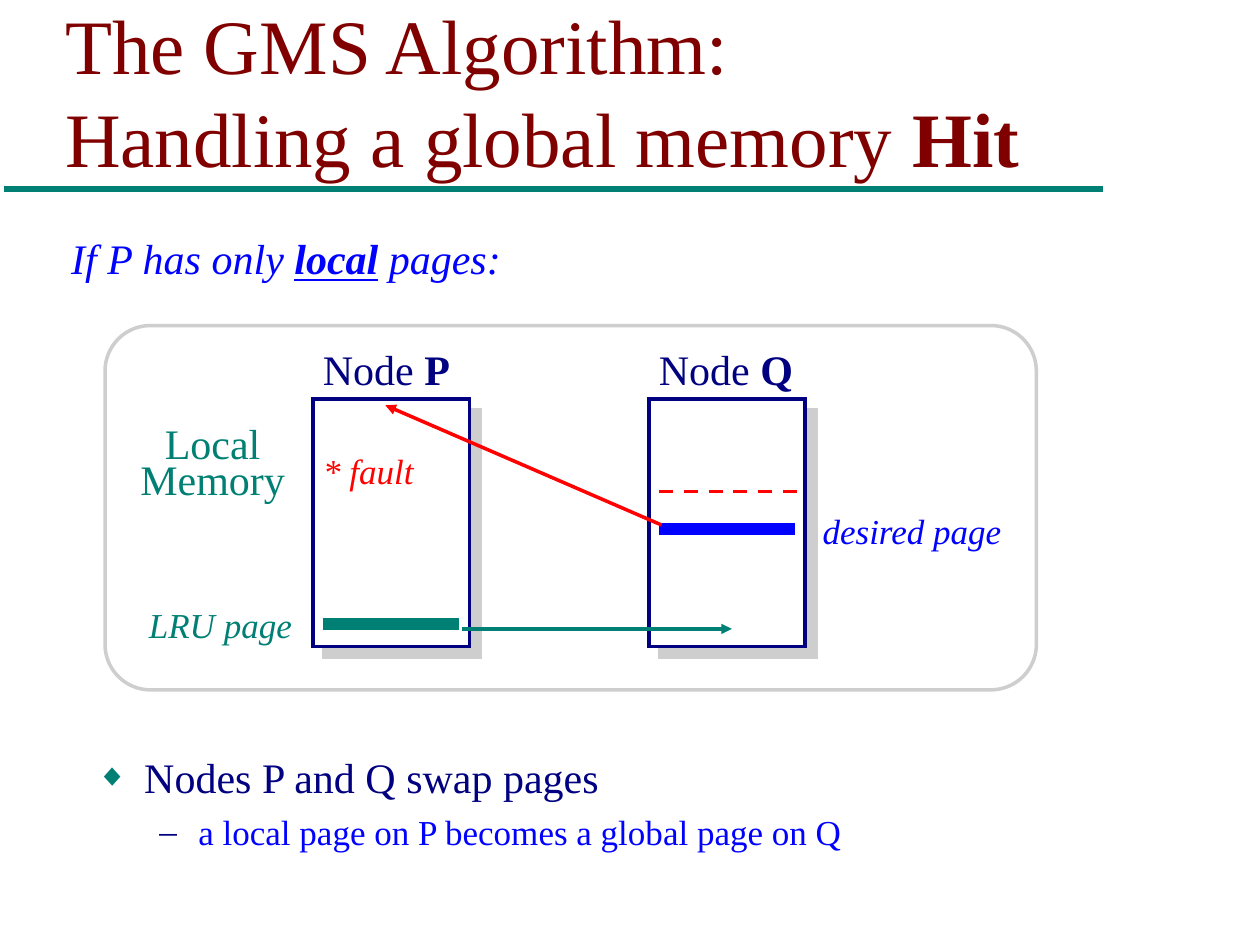
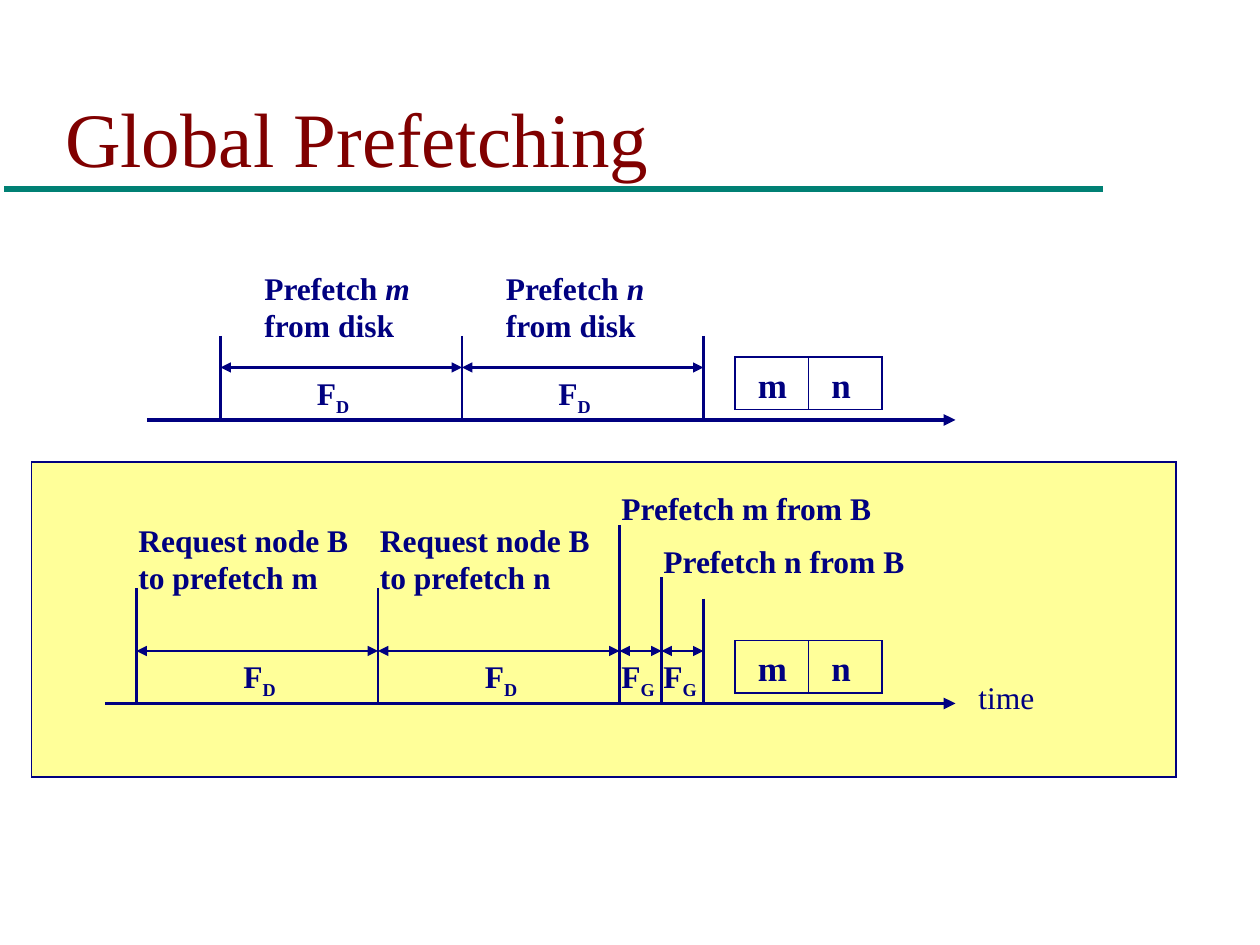
from lxml.etree import SubElement
from pptx import Presentation
from pptx.dml.color import RGBColor
from pptx.enum.dml import MSO_LINE
from pptx.enum.shapes import MSO_CONNECTOR, MSO_SHAPE
from pptx.enum.text import MSO_ANCHOR, MSO_AUTO_SIZE, PP_ALIGN
from pptx.oxml.ns import qn
from pptx.util import Inches, Pt

WIDE, HIGH = Inches(10), Inches(7.5)
UNIT = WIDE // 120
FACE = "Times New Roman"
HUES = {
    "white": "FFFFFF", "teal": "008074", "maroon": "800000", "navy": "000080",
    "blue": "0101FF", "red": "FF0101", "grey": "CECECE", "yellow": "FFFF99",
}
BOLD, SLANT = {"bold": True}, {"italic": True}
TITLE = {"size": 44, "hue": "maroon"}
HEAD = {"size": 24, "hue": "navy"}
LABEL = {"size": 18, "hue": "navy"} | BOLD
CELL = {"size": 20, "hue": "navy"} | BOLD


def tint(name):
    """Return the named colour."""
    return RGBColor.from_string(HUES[name])


def grid(*cells):
    """Turn counts of columns or rows into lengths."""
    return [round(cell * UNIT) for cell in cells]


def assign(thing, form):
    """Set each attribute named in a dict of format values."""
    for key, value in form.items():
        setattr(thing, key, value)


def write(frame, paras, form, para_form=None):
    """Fill a text frame; a paragraph is a string or a list of runs."""
    for count, pieces in enumerate(paras):
        para = frame.add_paragraph() if count else frame.paragraphs[0]
        assign(para, para_form or {})
        for piece in [pieces] if isinstance(pieces, str) else pieces:
            text, extra = (piece, {}) if isinstance(piece, str) else piece
            if text == "\v":
                para.add_line_break()
                continue
            look = {"name": FACE} | form | extra
            run = para.add_run()
            run.text = text
            run.font.color.rgb = tint(look.pop("hue"))
            base = look.pop("base", 0)
            assign(run.font, look | {"size": Pt(look["size"])})
            if base:
                run._r.get_or_add_rPr().set("baseline", str(base * 1000))


def pad(frame, side=0.1, ends=0.05):
    """Set the insets of a text frame."""
    assign(frame, {
        "margin_left": Inches(side), "margin_right": Inches(side),
        "margin_top": Inches(ends), "margin_bottom": Inches(ends),
    })


def note(slide, box, paras, form, wrap=False, inset=(0.1, 0.05), **para_form):
    """Add a text box that grows with its text."""
    frame = slide.shapes.add_textbox(*grid(*box)).text_frame
    pad(frame, *inset)
    assign(frame, {"word_wrap": wrap, "auto_size": MSO_AUTO_SIZE.SHAPE_TO_FIT_TEXT})
    write(frame, paras, form, para_form)


def block(slide, box, fill, edge, width=1, kind=MSO_SHAPE.RECTANGLE):
    """Add an outlined shape with sharp corners, with or without a fill."""
    shape = slide.shapes.add_shape(kind, *grid(*box))
    shape.shadow.inherit = False
    if fill:
        shape.fill.solid()
        shape.fill.fore_color.rgb = tint(fill)
    else:
        shape.fill.background()
    shape.line.color.rgb = tint(edge)
    shape.line.width = Pt(width)
    SubElement(shape.element.spPr.find(qn("a:ln")), qn("a:miter"), lim="800000")
    return shape


def rule(slide, ends, hue, width, heads=(), dash=None):
    """Add a straight line with arrowheads at the named ends."""
    line = slide.shapes.add_connector(MSO_CONNECTOR.STRAIGHT, *grid(*ends))
    line.line.color.rgb = tint(hue)
    line.line.width = Pt(width)
    if dash:
        line.line.dash_style = dash
    props = line.element.spPr
    for head in heads:
        SubElement(props.find(qn("a:ln")), qn(f"a:{head}End"), type="triangle")
    SubElement(props, qn("a:effectLst"))


def start(deck, pieces):
    """Add a slide with the shared title style and rule."""
    slide = deck.slides.add_slide(deck.slide_layouts[5])
    rule(slide, (0.4, 18, 105, 18), "teal", 4)
    title = slide.shapes.title
    left, top, width, height = grid(5, 3.5, 102, 14.5)
    assign(title, {"left": left, "top": top, "width": width, "height": height})
    frame = title.text_frame
    pad(frame)
    assign(frame, {"vertical_anchor": MSO_ANCHOR.BOTTOM, "word_wrap": True,
                   "auto_size": MSO_AUTO_SIZE.NONE})
    write(frame, [pieces], TITLE, {"alignment": PP_ALIGN.LEFT})
    return slide


def node(slide, box, name, shift, width, bar, hue):
    """Draw a node's memory with its name above and a page bar inside."""
    x, y, w, h = box
    shape = block(slide, box, "white", "navy", 2)
    effects = shape.element.spPr.find(qn("a:effectLst"))
    shade = SubElement(effects, qn("a:outerShdw"), dist=str(Pt(8.5)),
                       dir="2700000", algn="ctr", rotWithShape="0")
    SubElement(shade, qn("a:srgbClr"), val=HUES["grey"])
    note(slide, (x + shift, y - 6, width, 6.2), [["Node ", (name, BOLD)]],
         HEAD, inset=(0.12, 0.06))
    block(slide, (x + 1, y + bar, w - 2.1, 1), hue, hue)


def swap(slide, box):
    """Draw the frame in which nodes P and Q exchange pages."""
    x, y, w, h = box
    panel = block(slide, box, "white", "grey", 2, MSO_SHAPE.ROUNDED_RECTANGLE)
    panel.adjustments[0] = 0.125
    for left, name, width, bar, hue in (
            (19.8, "P", 15, 20.9, "teal"), (51.8, "Q", 15.7, 11.9, "blue")):
        node(slide, (x + left, y + 7, 14.9, 23.6), name, -0.5, width, bar, hue)
    rule(slide, (x + 52.8, y + 15.8, x + 66.7, y + 15.8), "red", 2,
         dash=MSO_LINE.DASH)
    rule(slide, (x + 53, y + 19, x + 26.7, y + 7.6), "red", 2, ["tail"])
    rule(slide, (x + 34, y + 28.9, x + 59.7, y + 28.9), "teal", 2, ["tail"])
    inset = (0.12, 0.06)
    small = {"size": 20} | SLANT
    note(slide, (x + 66.9, y + 16.8, 20, 5.5), ["desired page"],
         small | {"hue": "blue"}, inset=inset)
    note(slide, (x + 2.7, y + 25.8, 16.6, 5.5), ["LRU page"],
         small | {"hue": "teal"}, inset=inset, alignment=PP_ALIGN.CENTER)
    note(slide, (x + 1.9, y + 9.4, 16.7, 8.2), ["Local", "Memory"],
         {"size": 24, "hue": "teal"}, True, inset,
         alignment=PP_ALIGN.CENTER, line_spacing=0.7)
    note(slide, (x + 19.6, y + 11.2, 11, 5.2), ["* fault"],
         small | {"hue": "red"})


def points(slide, box):
    """Write the bulleted conclusion."""
    frame = slide.shapes.add_textbox(*grid(*box)).text_frame
    frame.word_wrap = True
    pad(frame)
    rows = (
        ("Nodes P and Q swap pages", 24, "navy", 6, 0.38, 0.38, "◆", "teal", 75),
        ("a local page on P becomes a global page on Q",
         20, "blue", 5, 0.81, 0.31, "–", "navy", 100),
    )
    write(frame, [[(row[0], {"size": row[1], "hue": row[2]})] for row in rows], {})
    for level, (para, row) in enumerate(zip(frame.paragraphs, rows)):
        gap, left, hang, mark, hue, size = row[3:]
        assign(para, {"level": level, "space_before": Pt(gap)})
        props = para._p.get_or_add_pPr()
        props.set("marL", str(Inches(left)))
        props.set("indent", str(-Inches(hang)))
        SubElement(SubElement(props, qn("a:buClr")), qn("a:srgbClr"), val=HUES[hue])
        SubElement(props, qn("a:buSzPct"), val=str(size * 1000))
        SubElement(props, qn("a:buFont"), typeface=FACE)
        SubElement(props, qn("a:buChar"), char=mark)


def pair(slide, x, y):
    """Draw the two cells that hold pages m and n."""
    for count, name in enumerate("mn"):
        left = x + 7 * count
        block(slide, (left, y, 7, 5), None, "navy")
        note(slide, (left + 1, y, 5, 5.3), [name], CELL, True,
             space_before=Pt(12.5))


def track(slide, box, ticks, spans, tags):
    """Draw a time axis along the bottom of a box, with ticks, spans and tags."""
    x, y, w, h = box
    base = y + h
    rule(slide, (x, base, x + w, base), "navy", 2.25, ["tail"])
    for col, rise in ticks:
        rule(slide, (x + col, base - rise, x + col, base), "navy", 1.5)
    for (left, _), (right, _), (sub, shift) in zip(ticks, ticks[1:], spans):
        rule(slide, (x + left, base - 5, x + right, base - 5), "navy",
             1.5 if sub == "D" else 1, ["head", "tail"])
        note(slide, (x + left + shift, base - 5, 6, 5.3),
             [["F", (sub, {"base": -25})]], LABEL)
    for (col, rise), (shift, width, paras) in zip(ticks, tags):
        lines = len(paras)
        note(slide, (x + col + shift, base - rise - 1 - 3 * lines, width,
                     1.2 + 3.6 * lines), paras, LABEL)
    pair(slide, x + w - 21, base - 6)


def hit(deck):
    """Build the slide on a global memory hit."""
    slide = start(deck, ["The GMS Algorithm:", "\v",
                         "Handling a global memory ", ("Hit", BOLD)])
    note(slide, (5.6, 21.6, 43.3, 6),
         [["If P has only ", ("local", BOLD | {"underline": True}), " pages:"]],
         {"size": 24, "hue": "blue"} | SLANT)
    swap(slide, (10, 31, 88.7, 34.7))
    points(slide, (8, 71, 107, 16))


def fetch(deck):
    """Build the slide on global prefetching."""
    slide = start(deck, ["Global Prefetching"])
    block(slide, (3, 44, 109, 30), "yellow", "navy")
    disk = [(3, 17, [["Prefetch ", (page, SLANT)], "from disk"]) for page in "mn"]
    track(slide, (14, 25, 77, 15), [(7 + 23 * step, 8) for step in range(3)],
          [("D", 8)] * 2, disk)
    ask = [(-1, 23, ["Request node B", f"to prefetch {page}"]) for page in "mn"]
    pull = [(-1, 27, [f"Prefetch {page} from B"]) for page in "mn"]
    track(slide, (10, 46, 81, 21),
          [(3, 11), (26, 11), (49, 17), (53, 12), (57, 10)],
          [("D", 9)] * 2 + [("G", -1)] * 2, ask + pull)
    note(slide, (92, 64, 8, 4.8), ["time"], LABEL | {"bold": False})


def main():
    """Build and save the deck."""
    deck = Presentation()
    assign(deck, {"slide_width": WIDE, "slide_height": HIGH})
    hit(deck)
    fetch(deck)
    deck.save("out.pptx")


if __name__ == "__main__":
    main()
